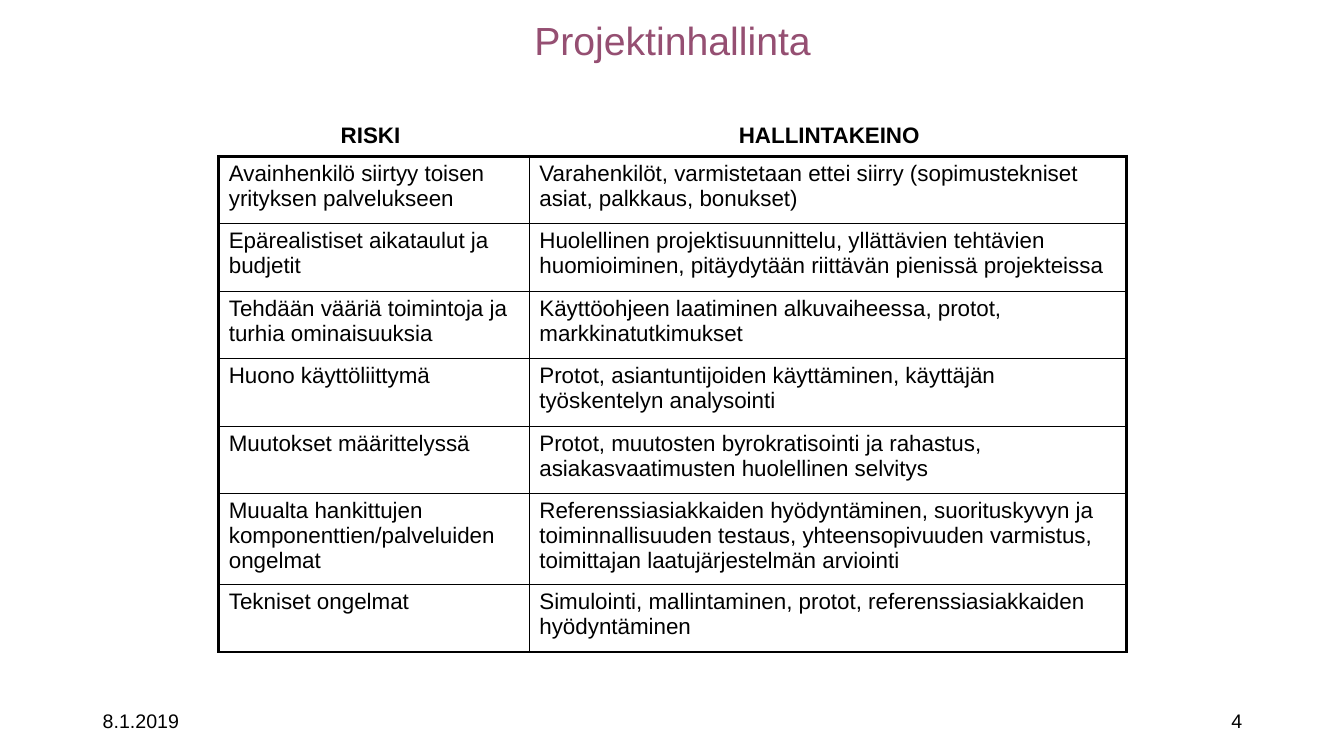
import pptx
import pptx.util
import pptx.dml.color
import pptx.enum.text
import pptx.oxml.ns
from lxml import etree

Inches, Pt = pptx.util.Inches, pptx.util.Pt
ALIGN = pptx.enum.text.PP_ALIGN
ANCHOR = pptx.enum.text.MSO_ANCHOR
BLACK = pptx.dml.color.RGBColor(0x00, 0x00, 0x00)
PLUM = pptx.dml.color.RGBColor(0x95, 0x4F, 0x72)
THICK, THIN = 2.25, 1

RISKS = [
    ("Avainhenkilö siirtyy toisen yrityksen palvelukseen",
     "Varahenkilöt, varmistetaan ettei siirry (sopimustekniset asiat, palkkaus, bonukset)"),
    ("Epärealistiset aikataulut ja budjetit",
     "Huolellinen projektisuunnittelu, yllättävien tehtävien huomioiminen, "
     "pitäydytään riittävän pienissä projekteissa"),
    ("Tehdään vääriä toimintoja ja turhia ominaisuuksia",
     "Käyttöohjeen laatiminen alkuvaiheessa, protot, markkinatutkimukset"),
    ("Huono käyttöliittymä",
     "Protot, asiantuntijoiden käyttäminen, käyttäjän työskentelyn analysointi"),
    ("Muutokset määrittelyssä",
     "Protot, muutosten byrokratisointi ja rahastus, asiakasvaatimusten huolellinen selvitys"),
    ("Muualta hankittujen komponenttien/palveluiden ongelmat",
     "Referenssiasiakkaiden hyödyntäminen, suorituskyvyn ja toiminnallisuuden testaus, "
     "yhteensopivuuden varmistus, toimittajan laatujärjestelmän arviointi"),
    ("Tekniset ongelmat",
     "Simulointi, mallintaminen, protot, referenssiasiakkaiden hyödyntäminen"),
]
COL_WIDTHS = [3.08, 5.92]
ROW_HEIGHTS = [0.67] * 5 + [0.9, 0.67]


class SlideBuilder:
    """Holds the text style and the current slide."""

    def __init__(self, s, font="Arial"):
        """Keep the slide and the font."""
        self.s, self.font = s, font

    def add_run(self, tf, text, size, color=BLACK, bold=False, align=ALIGN.LEFT):
        """Add one run to the first paragraph of a text frame."""
        p = tf.paragraphs[0]
        p.alignment = align
        r = p.add_run()
        r.text = text
        r.font.name, r.font.size, r.font.bold = self.font, Pt(size), bold
        r.font.color.rgb = color

    def title(self, text, box):
        """Place and format the title placeholder."""
        sp = self.s.shapes.title
        sp.left, sp.top, sp.width, sp.height = map(Inches, box)
        sp.text_frame.vertical_anchor = ANCHOR.MIDDLE
        self.add_run(sp.text_frame, text, 28, PLUM, align=ALIGN.CENTER)

    def text(self, text, box, size, anchor=ANCHOR.TOP, wrap=True, **style):
        """Add a text box."""
        tf = self.s.shapes.add_textbox(*map(Inches, box)).text_frame
        tf.word_wrap = wrap
        tf.vertical_anchor = anchor
        self.add_run(tf, text, size, **style)

    def border(self, cell, side, width):
        """Draw one black side (L, R, T or B) of a cell."""
        qn = pptx.oxml.ns.qn
        ln = etree.SubElement(cell._tc.get_or_add_tcPr(), qn("a:ln" + side), w=str(Pt(width)))
        fill = etree.SubElement(ln, qn("a:solidFill"))
        etree.SubElement(fill, qn("a:srgbClr"), val=str(BLACK))

    def table(self, rows, left, top, widths, heights):
        """Add a table with a thick frame and thin inner lines."""
        last_row, last_col = len(heights) - 1, len(widths) - 1
        tbl = self.s.shapes.add_table(
            len(heights), len(widths), Inches(left), Inches(top),
            Inches(sum(widths)), Inches(sum(heights))).table
        tbl.first_row = tbl.horz_banding = False
        for col, width in zip(tbl.columns, widths):
            col.width = Inches(width)
        for i, (row, height) in enumerate(zip(tbl.rows, heights)):
            row.height = Inches(height)
            for j, cell in enumerate(row.cells):
                outer = {"L": j == 0, "R": j == last_col, "T": i == 0, "B": i == last_row}
                for side, is_outer in outer.items():
                    self.border(cell, side, THICK if is_outer else THIN)
                cell.fill.background()
                self.add_run(cell.text_frame, rows[i][j], 16)


prs = pptx.Presentation()
prs.slide_width, prs.slide_height = Inches(13.33), Inches(7.5)
b = SlideBuilder(prs.slides.add_slide(prs.slide_layouts[5]))

b.title("Projektinhallinta", (2.17, 0.21, 9, 0.38))
b.table(RISKS, 2.17, 1.55, COL_WIDTHS, ROW_HEIGHTS)
for heading, left, width in [("RISKI", 3.28, 0.79), ("HALLINTAKEINO", 7.22, 2.01)]:
    b.text(heading, (left, 1.15, width, 0.37), 16, wrap=False, bold=True, align=ALIGN.CENTER)
for footer, left, align in [("8.1.2019", 0.92, ALIGN.LEFT), ("4", 9.42, ALIGN.RIGHT)]:
    b.text(footer, (left, 6.95, 3, 0.4), 14, ANCHOR.MIDDLE, align=align)

prs.save("out.pptx")
